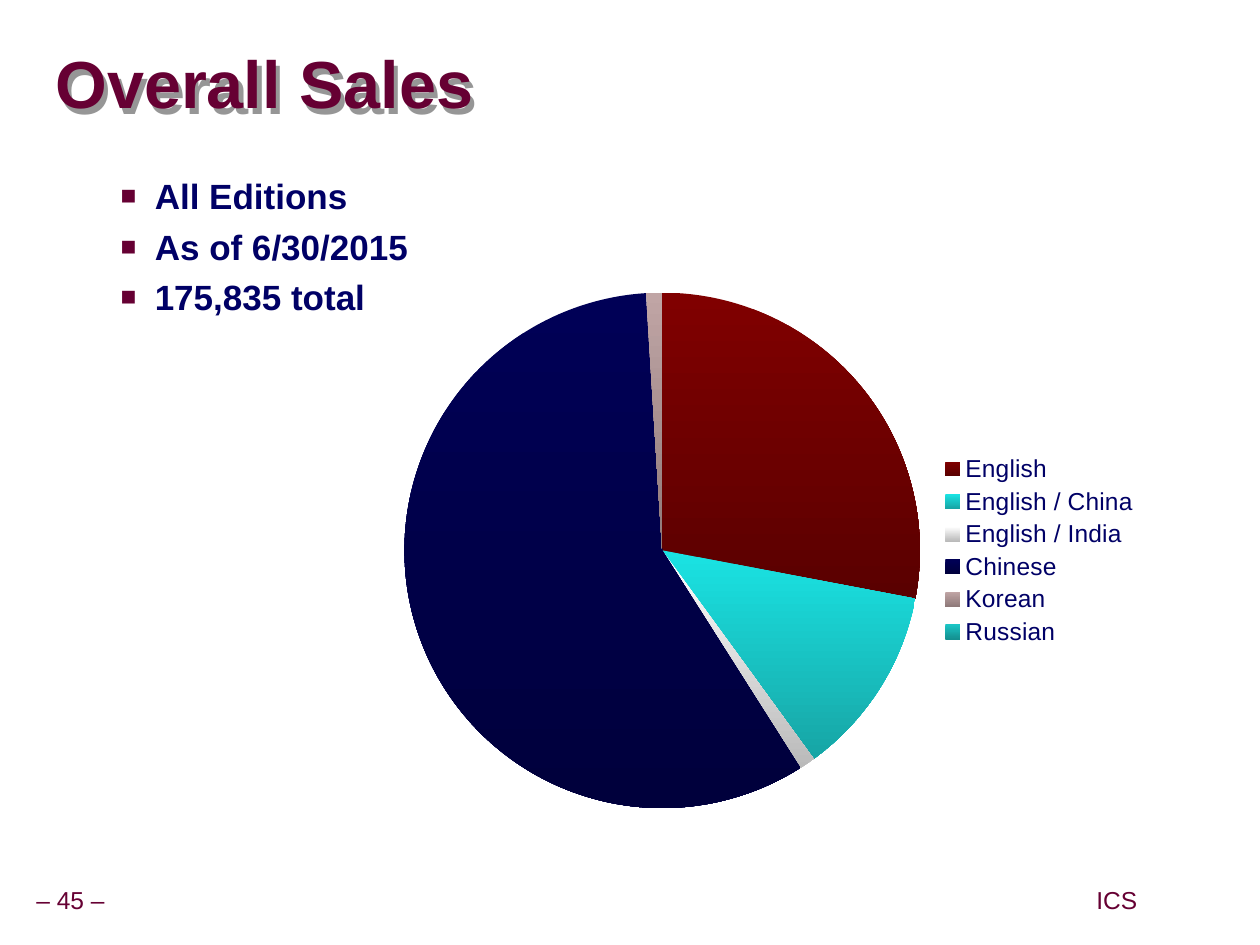
from lxml import etree
from pptx import Presentation
from pptx.chart.data import CategoryChartData
from pptx.dml.color import RGBColor
from pptx.enum.chart import XL_CHART_TYPE, XL_LEGEND_POSITION
from pptx.enum.text import MSO_ANCHOR, PP_ALIGN
from pptx.oxml.ns import qn
from pptx.util import Inches, Pt

WIDE, HIGH = 10, 7.5
FONT, WINE, NAVY = "Arial", "660033", "000066"

TITLE = "Overall Sales"
POINTS = ["All Editions", "As of 6/30/2015", "175,835 total"]
# edition, share of sales in percent, top and bottom colour of the slice
SALES = [
    ("English", 28, "800000", "5A0000"),
    ("English / China", 12, "1AE3E3", "17A5A5"),
    ("English / India", 1, "FFFFFF", "BABABA"),
    ("Chinese", 58, "000056", "00003C"),
    ("Korean", 1, "C0A5A5", "8F7A7A"),
    ("Russian", 0, "1BC5C5", "149090"),
]
# text, left and width as shares of the slide
FOOTER = [("– 45 –", 0.023, 0.066), ("ICS", 0.865, 0.043)]
PIE = {"x": 0.023, "y": 0.05, "w": 0.674, "h": 0.9}  # shares of the chart


def color(code):
    return RGBColor.from_string(code)


def place(x, y, w, h):
    """Turn shares of the slide into lengths."""
    return (Inches(x * WIDE), Inches(y * HIGH), Inches(w * WIDE), Inches(h * HIGH))


def style(font, size, code, bold=False):
    font.size, font.bold = Pt(size), bold
    font.color.rgb = color(code)
    font.name = FONT


def inset(frame, side, top):
    frame.margin_left = frame.margin_right = Inches(side)
    frame.margin_top = frame.margin_bottom = Inches(top)


def add(parent, tag, **attrs):
    return etree.SubElement(parent, qn(tag), attrs)


def add_title(slide):
    title = slide.shapes.title
    title.left, title.top, title.width, title.height = place(0.044, 0.036, 0.953, 0.113)
    frame = title.text_frame
    frame.text = TITLE
    frame.vertical_anchor = MSO_ANCHOR.MIDDLE
    inset(frame, 0, 0)
    para = frame.paragraphs[0]
    para.alignment, para.line_spacing = PP_ALIGN.LEFT, 0.87
    style(para.runs[0].font, 38, WINE, True)
    # an unfilled shape casts its shadow from the text
    title.fill.background()
    effect = add(title._element.spPr, "a:effectLst")
    shade = add(effect, "a:outerShdw", dist=str(Inches(0.06)), dir="3360000",
                algn="ctr", rotWithShape="0")
    add(shade, "a:srgbClr", val="969696")


def add_points(slide):
    frame = slide.shapes.add_textbox(*place(0.032, 0.178, 0.909, 0.761)).text_frame
    frame.word_wrap = True
    inset(frame, 0.1, 0.05)
    frame.text = "\n".join(POINTS)
    for i, para in enumerate(frame.paragraphs):
        para.space_before = Pt(5 if i else 0)
        props = para._p.get_or_add_pPr()
        props.set("marL", str(Inches(0.81)))
        props.set("indent", str(Inches(-0.27)))
        add(add(props, "a:buClr"), "a:srgbClr", val=WINE)
        add(props, "a:buSzPct", val="75000")
        add(props, "a:buFont", typeface=FONT)
        add(props, "a:buChar", char="■")
        style(para.runs[0].font, 20, NAVY, True)


def add_pie(slide):
    data = CategoryChartData()
    data.categories = [row[0] for row in SALES]
    data.add_series("Series 1", [row[1] for row in SALES])
    chart = slide.shapes.add_chart(
        XL_CHART_TYPE.PIE, *place(0.307, 0.279, 0.607, 0.607), data).chart
    chart.has_title = False
    style(chart.font, 10, NAVY)
    chart.has_legend = True
    legend = chart.legend
    legend.position = XL_LEGEND_POSITION.RIGHT
    legend.include_in_layout = False
    style(legend.font, 14, NAVY)

    plot = chart.plots[0]
    plot.vary_by_categories = True
    for i, (_, _, top, low) in enumerate(SALES):
        form = plot.series[0].points[i].format
        form.line.fill.background()
        form.fill.gradient()
        form.fill.gradient_angle = 270
        for stop, code in zip(form.fill.gradient_stops, (top, low)):
            stop.color.rgb = color(code)

    area = chart._chartSpace.find(".//" + qn("c:plotArea"))
    for old in area.findall(qn("c:layout")):
        area.remove(old)
    layout = etree.Element(qn("c:layout"))
    area.insert(0, layout)
    manual = add(layout, "c:manualLayout")
    add(manual, "c:layoutTarget", val="inner")
    for axis in "xy":
        add(manual, f"c:{axis}Mode", val="edge")
    for key, share in PIE.items():
        add(manual, f"c:{key}", val=str(share))


def add_footer(slide):
    for text, left, width in FOOTER:
        frame = slide.shapes.add_textbox(*place(left, 0.933, width, 0.041)).text_frame
        frame.word_wrap = False
        frame.vertical_anchor = MSO_ANCHOR.MIDDLE
        inset(frame, 0.05, 0.05)
        frame.text = text
        para = frame.paragraphs[0]
        para.alignment, para.line_spacing = PP_ALIGN.CENTER, 0.9
        style(para.runs[0].font, 14, WINE)


def main():
    deck = Presentation()
    deck.slide_width, deck.slide_height = Inches(WIDE), Inches(HIGH)
    slide = deck.slides.add_slide(deck.slide_layouts[5])
    for build in (add_footer, add_title, add_points, add_pie):
        build(slide)
    deck.save("out.pptx")


if __name__ == "__main__":
    main()
